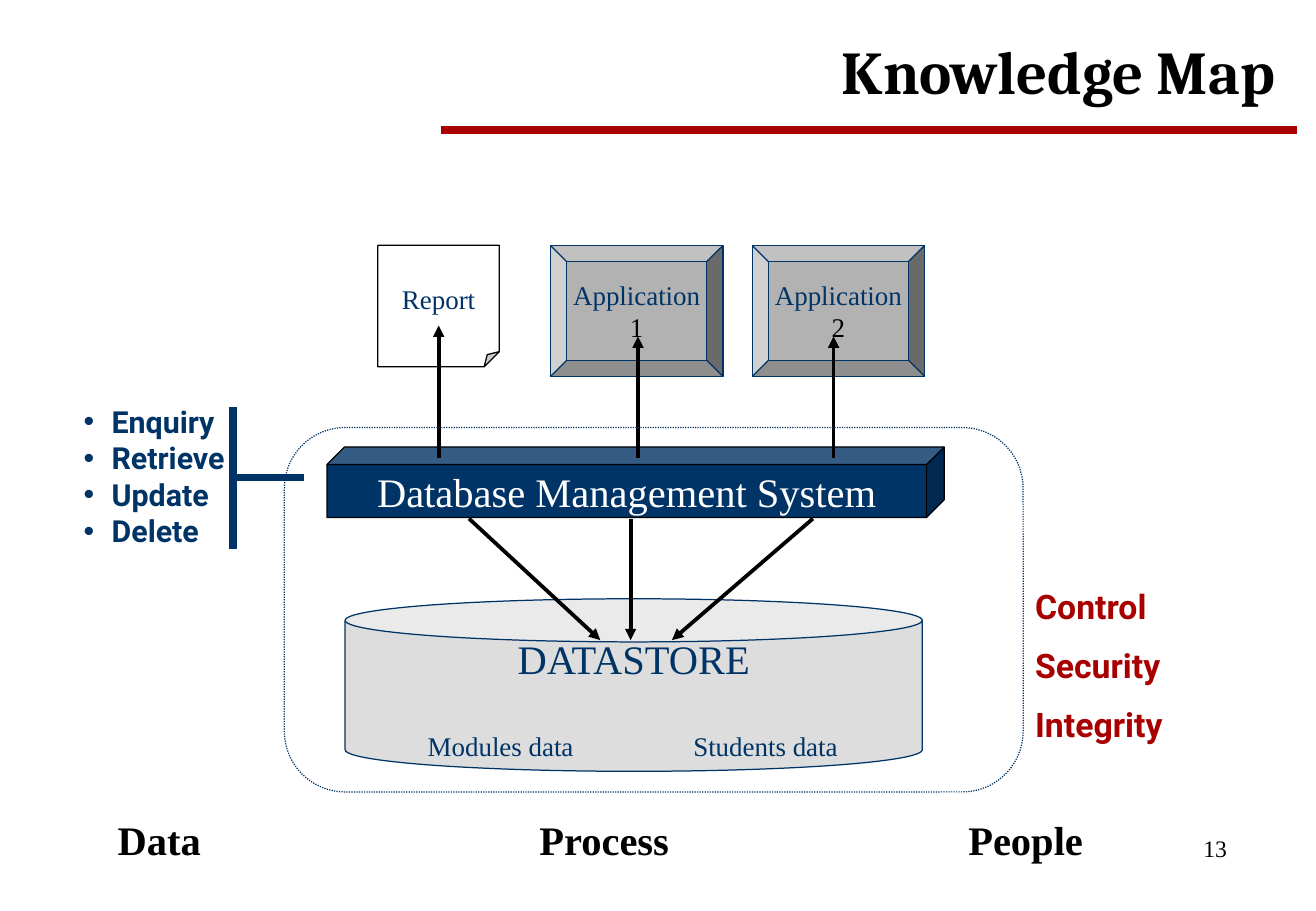
from dataclasses import dataclass
from lxml.etree import SubElement
from pptx import Presentation
from pptx.dml.color import RGBColor
from pptx.enum.dml import MSO_LINE
from pptx.enum.shapes import MSO_CONNECTOR, MSO_SHAPE as Kind
from pptx.enum.text import MSO_ANCHOR as Anchor, PP_ALIGN as Align
from pptx.oxml.ns import qn
from pptx.util import Inches, Pt


@dataclass(frozen=True)
class Theme:
    navy: str = "003366"
    red: str = "A80000"
    black: str = "000000"
    white: str = "FFFFFF"
    grey: str = "B2B2B2"
    pale: str = "DDDDDD"
    serif: str = "Times New Roman"
    sans: str = "Roboto"
    head: str = "Cambria"
    title: int = 36
    large: int = 24
    goal: int = 20
    task: int = 18
    small: int = 16
    page: int = 14
    thin: float = 0.75
    arrow: float = 2.25
    thick: float = 4.5


T = Theme()

# Content
TITLE = "Knowledge Map"
PAGE = "13"
SYSTEM = "Database Management System"
STORE = "DATASTORE"
APPS = [("1", 4.53), ("2", 6.19)]                       # number, left
DATA = [("Modules data", 4.12), ("Students data", 6.3)]  # label, centre
TASKS = ["Enquiry", "Retrieve", "Update", "Delete"]
GOALS = ["Control", "Security", "Integrity"]
PILLARS = [("Data", 0.87, 1.82), ("Process", 4.34, 1.38), ("People", 7.87, 1.55)]
DOWN = [(5.19, 5.19), (6.69, 5.53), (3.86, 4.94)]        # start x, end x
UP = [(3.61, 2.68), (5.25, 2.77), (6.86, 2.77)]          # x, end y

deck = Presentation()
deck.slide_width, deck.slide_height = Inches(10.83), Inches(7.5)
slide = deck.slides.add_slide(deck.slide_layouts[6])
shapes = slide.shapes


def rgb(code):
    return RGBColor.from_string(code)


def write(shape, text, size, color, face=T.serif, bold=False,
          align=Align.LEFT, anchor=Anchor.TOP, wrap=True):
    frame = shape.text_frame
    frame.text = text
    frame.word_wrap = wrap
    frame.vertical_anchor = anchor
    for para in frame.paragraphs:
        para.alignment = align
        for run in para.runs:
            font = run.font
            font.name, font.size, font.bold = face, Pt(size), bold
            font.color.rgb = rgb(color)
    return frame


def label(box, text, size, color, **style):
    return write(shapes.add_textbox(*map(Inches, box)), text, size, color, **style)


def block(kind, box, fill, line):
    shape = shapes.add_shape(kind, *map(Inches, box))
    shape.shadow.inherit = False
    if fill:
        shape.fill.solid()
        shape.fill.fore_color.rgb = rgb(fill)
    else:
        shape.fill.background()
    shape.line.color.rgb = rgb(line)
    shape.line.width = Pt(T.thin)
    return shape


def inner(shape, text, size, color):
    """Centre unwrapped text inside a shape."""
    return write(shape, text, size, color, align=Align.CENTER,
                 anchor=Anchor.MIDDLE, wrap=False)


def rule(start, end, color, width, arrow=False):
    line = shapes.add_connector(MSO_CONNECTOR.STRAIGHT, *map(Inches, start + end))
    line.line.color.rgb = rgb(color)
    line.line.width = Pt(width)
    props = line._element.spPr
    if arrow:
        SubElement(props.find(qn("a:ln")), qn("a:tailEnd"), type="triangle")
    SubElement(props, qn("a:effectLst"))


def fold(shape, part):
    """Set the size of the folded corner."""
    guides = shape._element.spPr.find(qn("a:prstGeom")).find(qn("a:avLst"))
    guides.clear()
    SubElement(guides, qn("a:gd"), name="adj", fmla=f"val {round(part * 100000)}")


def bullet(para, indent):
    props = para._p.get_or_add_pPr()
    props.set("marL", str(Inches(indent)))
    props.set("indent", str(-Inches(indent)))
    SubElement(props, qn("a:buFont"), typeface="Arial")
    SubElement(props, qn("a:buChar"), char="•")


# Heading and page number
rule((3.63, 1.07), (10.67, 1.07), T.red, T.thick)
label((9.51, 6.82, 0.98, 0.34), PAGE, T.page, T.black, align=Align.CENTER)
label((2.28, 0.2, 8.31, 0.75), TITLE, T.title, T.black, face=T.head, bold=True,
      align=Align.RIGHT, anchor=Anchor.MIDDLE)

# Data store
store = block(Kind.CAN, (2.84, 4.93, 4.75, 1.42), T.pale, T.navy)
frame = inner(store, STORE, T.large, T.navy)
frame.margin_top, frame.margin_bottom = Inches(0), Inches(0.62)
for text, mid in DATA:
    label((mid - 0.8, 5.96, 1.6, 0.36), text, T.small, T.navy,
          align=Align.CENTER, anchor=Anchor.MIDDLE)

# System and its users
system = block(Kind.CUBE, (2.69, 3.68, 5.08, 0.58), T.navy, T.black)
inner(system, SYSTEM, T.large, T.white)
report = block(Kind.FOLDED_CORNER, (3.11, 2.02, 1, 1), T.white, T.black)
fold(report, 0.125)
inner(report, "Report", T.small, T.navy)
for number, left in APPS:
    app = block(Kind.BEVEL, (left, 2.02, 1.42, 1.08), T.grey, T.navy)
    frame = inner(app, "Application\n" + number, T.small, T.navy)
    frame.paragraphs[1].runs[0].font.color.rgb = rgb(T.black)

# Flows
for start, end in DOWN:
    rule((start, 4.27), (end, 5.27), T.black, T.arrow, arrow=True)
for x, top in UP:
    rule((x, 3.77), (x, top), T.black, T.arrow, arrow=True)

# Boundary and goals
bound = block(Kind.ROUNDED_RECTANGLE, (2.34, 3.52, 6.08, 3), None, T.navy)
bound.line.dash_style = MSO_LINE.ROUND_DOT
frame = label((8.42, 4.77, 1.48, 1.44), "\n".join(GOALS), T.goal, T.red,
              face=T.sans, bold=True)
for para in frame.paragraphs[1:]:
    para.space_before = Pt(11)

# Tasks with bracket
frame = label((0.59, 3.27, 1.38, 1.31), "\n".join(TASKS), T.task, T.navy,
              face=T.sans, bold=True, wrap=False)
for para in frame.paragraphs:
    bullet(para, 0.23)
rule((2.5, 3.93), (1.92, 3.93), T.navy, T.thick)
rule((1.92, 3.35), (1.92, 4.52), T.navy, T.thick)

for text, left, width in PILLARS:
    label((left, 6.66, width, 0.5), text, T.large, T.black, bold=True)

deck.save("out.pptx")
